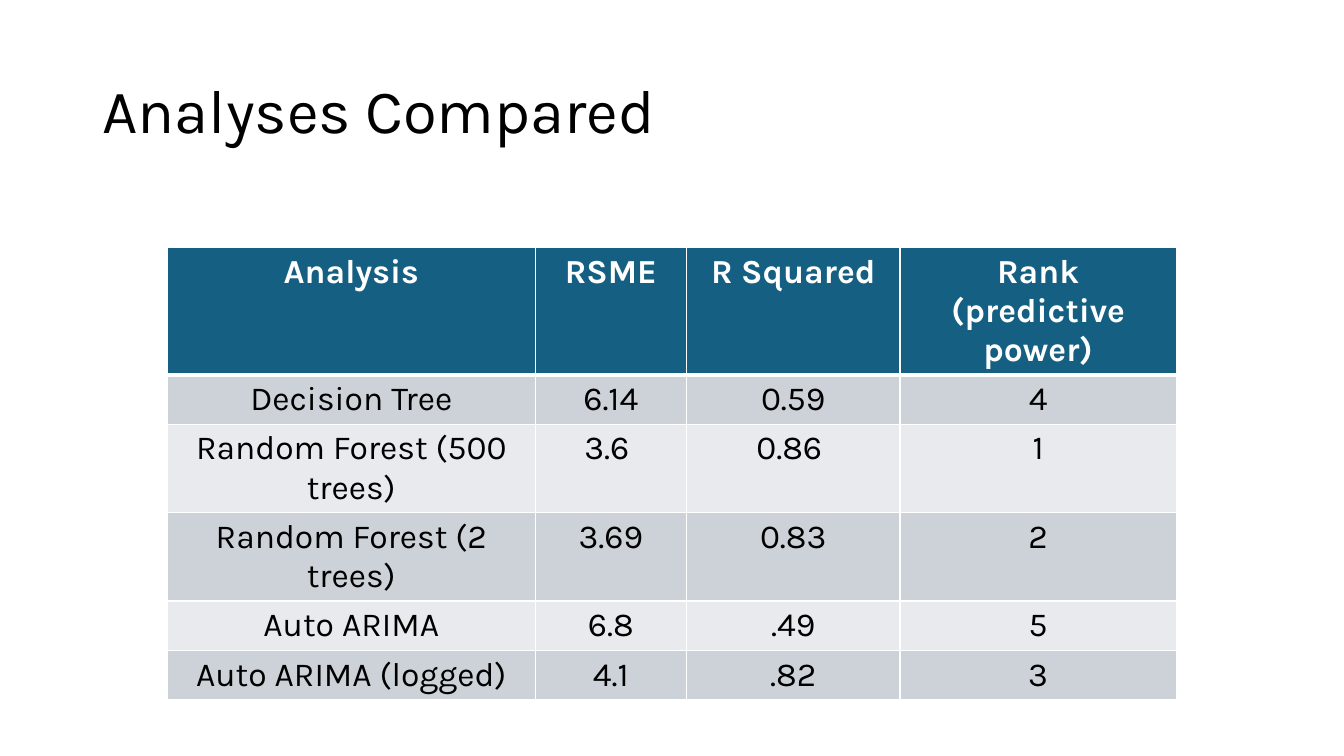
import pptx
import pptx.util
import pptx.dml.color
import pptx.enum.text
import lxml.etree
from dataclasses import dataclass

Pt = pptx.util.Pt
Color = pptx.dml.color.RGBColor.from_string
Align = pptx.enum.text.PP_ALIGN
Anchor = pptx.enum.text.MSO_ANCHOR
Fit = pptx.enum.text.MSO_AUTO_SIZE


@dataclass(frozen=True)
class Theme:
    font: str = "Karla"
    title: int = 44
    body: int = 24
    ink: str = "000000"
    paper: str = "FFFFFF"
    head: str = "156082"
    bands: tuple = ("CCD2D8", "E8EAED")
    thin: int = 1
    thick: int = 3


THEME = Theme()
HEADS = ("Analysis", "RSME", "R Squared", "Rank (predictive power)")
MODELS = (
    ("Decision Tree", "6.14", "0.59", "4"),
    ("Random Forest (500 trees)", "3.6 ", "0.86 ", "1"),
    ("Random Forest (2 trees)", "3.69", "0.83", "2"),
    ("Auto ARIMA", "6.8", ".49", "5"),
    ("Auto ARIMA (logged)", "4.1", ".82", "3"),
)
WIDTHS = (262.8, 108, 152.6, 197.3)
HEIGHTS = (43.9, 32.4, 25.9, 25.9, 25.9, 25.9)


def add_run(para, text, size, color, bold=False):
    run = para.add_run()
    run.text = text
    run.font.name = THEME.font
    run.font.size = Pt(size)
    run.font.bold = bold
    run.font.color.rgb = Color(color)


def add_edge(cell, side, width):
    """Draw one cell border; side is L, R, T or B, in that order."""
    props = cell._tc.get_or_add_tcPr()
    line = lxml.etree.SubElement(
        props, pptx.oxml.ns.qn("a:ln" + side), w=str(Pt(width)))
    fill = lxml.etree.SubElement(line, pptx.oxml.ns.qn("a:solidFill"))
    lxml.etree.SubElement(
        fill, pptx.oxml.ns.qn("a:srgbClr"), val=THEME.paper)


def add_title(slide, text, left, top, width, height):
    title = slide.shapes.title
    title.left, title.top = Pt(left), Pt(top)
    title.width, title.height = Pt(width), Pt(height)
    frame = title.text_frame
    frame.auto_size = Fit.NONE
    frame.word_wrap = True
    frame.vertical_anchor = Anchor.MIDDLE
    para = frame.paragraphs[0]
    para.alignment = Align.LEFT
    para.line_spacing = 0.9
    add_run(para, text, THEME.title, THEME.ink)


def fill_cell(cell, text, row):
    """Style a cell by its row: a header first, then two bands in turn."""
    head = row == 0
    edges = {"L": THEME.thin, "R": THEME.thin,
             "T": THEME.thick if row == 1 else THEME.thin,
             "B": THEME.thick if head else THEME.thin}
    for side, width in edges.items():
        add_edge(cell, side, width)
    cell.fill.solid()
    cell.fill.fore_color.rgb = Color(
        THEME.head if head else THEME.bands[(row - 1) % 2])
    para = cell.text_frame.paragraphs[0]
    para.alignment = Align.CENTER
    add_run(para, text, THEME.body, THEME.paper if head else THEME.ink, head)


def add_grid(slide, left, top):
    rows = (HEADS, *MODELS)
    table = slide.shapes.add_table(
        len(rows), len(HEADS), Pt(left), Pt(top),
        Pt(sum(WIDTHS)), Pt(sum(HEIGHTS))).table
    for col, width in zip(table.columns, WIDTHS):
        col.width = Pt(width)
    for line, height in zip(table.rows, HEIGHTS):
        line.height = Pt(height)
    for r, row in enumerate(rows):
        for c, text in enumerate(row):
            fill_cell(table.cell(r, c), text, r)


def main():
    deck = pptx.Presentation()
    deck.slide_width, deck.slide_height = Pt(960), Pt(540)
    slide = deck.slides.add_slide(deck.slide_layouts[5])
    add_title(slide, "Analyses Compared", 66, 28.8, 828, 104.4)
    add_grid(slide, 119.5, 176.6)
    deck.save("out.pptx")


if __name__ == "__main__":
    main()
